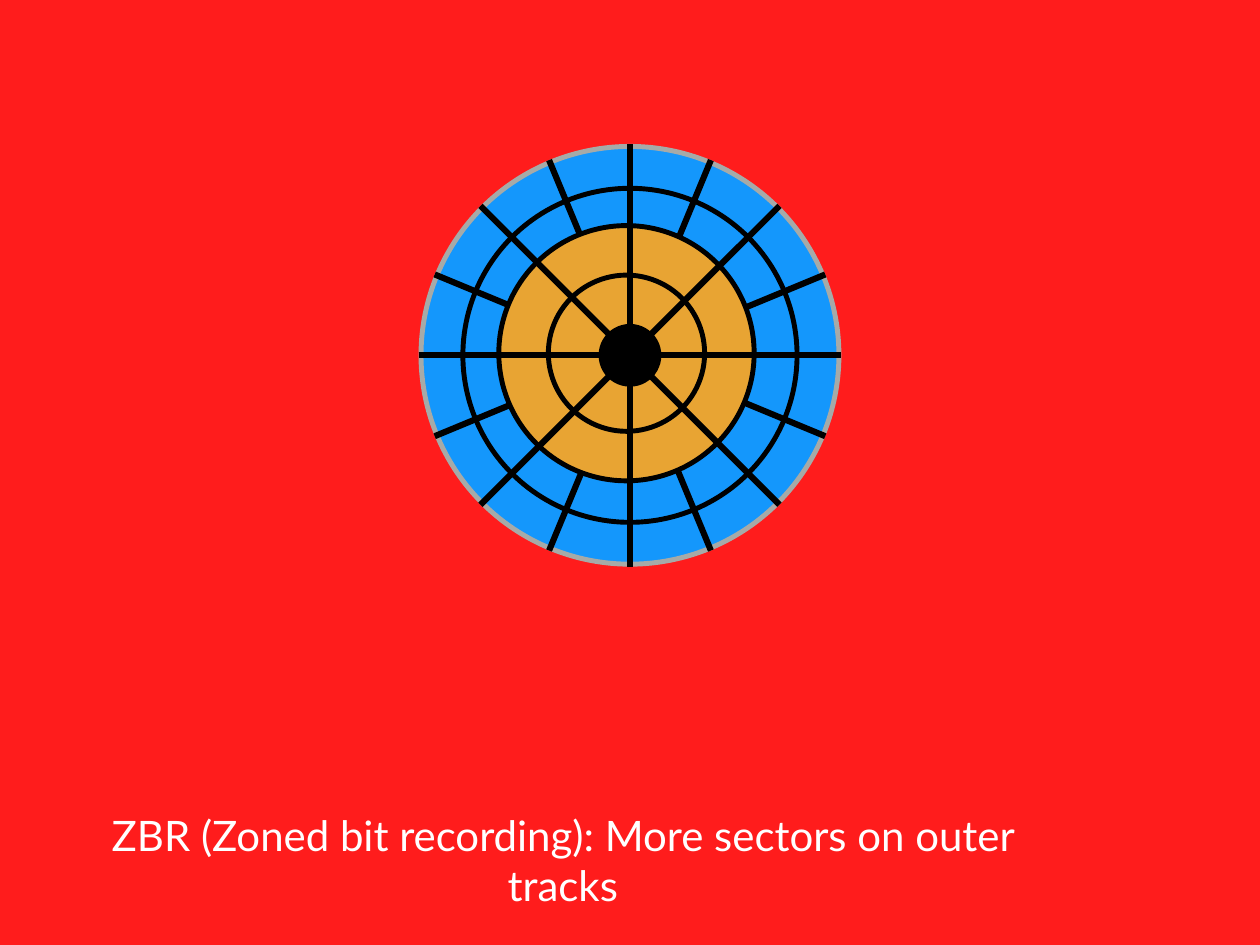
from math import cos, radians, sin

from lxml import etree
from pptx import Presentation
from pptx.dml.color import RGBColor
from pptx.enum.shapes import MSO_CONNECTOR, MSO_SHAPE
from pptx.enum.text import PP_ALIGN
from pptx.oxml.ns import qn
from pptx.util import Cm, Pt

OVAL = MSO_SHAPE.OVAL
STRAIGHT = MSO_CONNECTOR.STRAIGHT
CENTER = PP_ALIGN.CENTER

RED, WHITE, BLACK = "FF1C1C", "FFFFFF", "000000"
BLUE, GOLD, GRAY = "1497FC", "E8A433", "A6AAA8"
HUB = (18.06, 10.19)
INNER = (17.96, 10.13)
REACH = 6.06


def paint(fill, color):
    """Make a fill solid in a hex colour."""
    fill.solid()
    fill.fore_color.rgb = RGBColor.from_string(color)


def add_disc(shapes, center, radius, color, edge=None):
    """Draw a filled circle, outlined if an edge colour is given."""
    left, top = (Cm(axis - radius) for axis in center)
    disc = shapes.add_shape(OVAL, left, top, Cm(2 * radius), Cm(2 * radius))
    disc.shadow.inherit = False
    paint(disc.fill, color)
    if edge:
        paint(disc.line.fill, edge)
        disc.line.width = Pt(4)
    else:
        disc.line.fill.background()


def add_spokes(shapes, start):
    """Draw four lines across the disk, 45 degrees apart."""
    x, y = HUB
    for turn in range(4):
        angle = radians(start + 45 * turn)
        dx, dy = REACH * cos(angle), REACH * sin(angle)
        spoke = shapes.add_connector(
            STRAIGHT, Cm(x - dx), Cm(y - dy), Cm(x + dx), Cm(y + dy))
        paint(spoke.line.fill, BLACK)
        spoke.line.width = Pt(5)
        etree.SubElement(spoke._element.spPr, qn("a:effectLst"))


def add_label(shapes, text, left, top, width, height):
    """Write a centred white caption."""
    frame = shapes.add_textbox(Cm(left), Cm(top), Cm(width), Cm(height)).text_frame
    frame.word_wrap = True
    frame.margin_left = frame.margin_right = 0
    line = frame.paragraphs[0]
    line.text = text
    line.alignment = CENTER
    line.font.name = "Lato"
    line.font.size = Pt(34.1)
    paint(line.font.fill, WHITE)


def main():
    """Build the slide on zoned bit recording."""
    deck = Presentation()
    deck.slide_width, deck.slide_height = Cm(36.12), Cm(27.1)
    slide = deck.slides.add_slide(deck.slide_layouts[6])
    paint(slide.background.fill, RED)

    disk = slide.shapes.add_group_shape().shapes
    add_disc(disk, HUB, 5.99, BLUE, GRAY)
    add_disc(disk, HUB, 4.79, BLUE, BLACK)
    add_spokes(disk, 22.5)
    add_disc(disk, INNER, 3.66, GOLD, BLACK)
    add_disc(disk, INNER, 2.24, GOLD, BLACK)
    add_disc(disk, HUB, 0.9, BLACK)
    add_spokes(disk, 0)

    add_label(slide.shapes, "ZBR (Zoned bit recording): More sectors on outer tracks",
              2.9, 23.09, 26.47, 3.14)
    deck.save("out.pptx")


if __name__ == "__main__":
    main()
